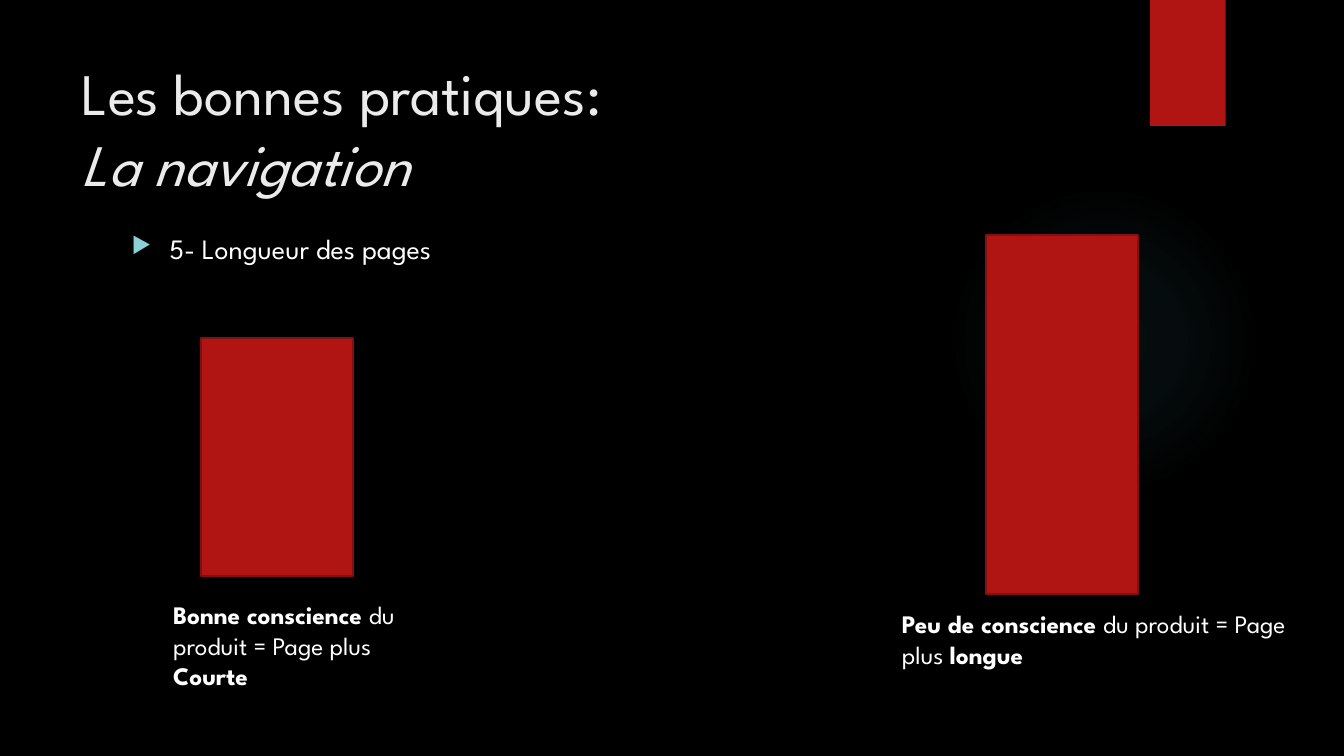
from lxml import etree
from pptx import Presentation
from pptx import util as u
from pptx.dml.color import RGBColor
from pptx.enum import shapes, text
from pptx.oxml import ns

BLACK = RGBColor(0x00, 0x00, 0x00)
WHITE = RGBColor(0xFF, 0xFF, 0xFF)
TITLE_GREY = RGBColor(0xEB, 0xEB, 0xEB)
RED = RGBColor(0xB0, 0x15, 0x13)
DARK_RED = RGBColor(0x82, 0x10, 0x0E)
TEAL = RGBColor(0x50, 0xB9, 0xC1)
PALE_TEAL = RGBColor(0x8A, 0xD0, 0xD6)
FONT = "League Spartan"


def add_element(parent, tag, **attributes):
    return etree.SubElement(parent, ns.qn(tag), attributes)


def add_block(page, kind, left, top, width, height, fill=None, line=None):
    block = page.shapes.add_shape(
        kind, u.Pt(left), u.Pt(top), u.Pt(width), u.Pt(height))
    block.shadow.inherit = False
    if fill is None:
        block.fill.background()
    else:
        block.fill.solid()
        block.fill.fore_color.rgb = fill
    if line is None:
        block.line.fill.background()
    else:
        block.line.color.rgb = line
        block.line.width = u.Pt(1.5)
    return block


def add_box(page, left, top, width, height, anchor=text.MSO_ANCHOR.TOP):
    box = page.shapes.add_textbox(
        u.Pt(left), u.Pt(top), u.Pt(width), u.Pt(height))
    box.text_frame.word_wrap = True
    box.text_frame.vertical_anchor = anchor
    return box.text_frame.paragraphs[0]


def add_span(para, words, size=18, color=WHITE, bold=False, italic=False):
    span = para.add_run()
    span.text = words
    span.font.name = FONT
    span.font.size = u.Pt(size)
    span.font.color.rgb = color
    span.font.bold = bold
    span.font.italic = italic


def add_bullet(para, symbol, color, indent):
    properties = para._p.get_or_add_pPr()
    properties.set("marL", str(u.Pt(indent)))
    properties.set("indent", str(u.Pt(-indent)))
    holder = add_element(properties, "a:buClr")
    add_element(holder, "a:srgbClr", val=str(color))
    add_element(properties, "a:buSzPct", val="80000")
    add_element(properties, "a:buChar", char=symbol)


def draw_glow(page, left, top, size):
    glow = add_block(page, shapes.MSO_SHAPE.OVAL, left, top, size, size)
    properties = glow._element.spPr
    blank = properties.find(ns.qn("a:noFill"))
    gradient = etree.Element(ns.qn("a:gradFill"), rotWithShape="1")
    properties.replace(blank, gradient)
    stops = add_element(gradient, "a:gsLst")
    for position, opacity in ((0, 7), (36, 6), (69, 0)):
        stop = add_element(stops, "a:gs", pos=str(position * 1000))
        color = add_element(stop, "a:srgbClr", val=str(TEAL))
        add_element(color, "a:alpha", val=str(opacity * 1000))
    shade = add_element(gradient, "a:path", path="circle")
    add_element(shade, "a:fillToRect", l="50000", t="50000", r="50000", b="50000")


def draw_backdrop(page):
    page.background.fill.solid()
    page.background.fill.fore_color.rgb = BLACK
    draw_glow(page, 677.5, 131.8, 221.8)
    add_block(page, shapes.MSO_SHAPE.RECTANGLE, 821.5, 0, 54, 90, fill=RED)


def draw_title(page, left, top, width, height):
    para = add_box(page, left, top, width, height, text.MSO_ANCHOR.MIDDLE)
    add_span(para, "Les bonnes pratiques:", size=42, color=TITLE_GREY)
    para.add_line_break()
    add_span(para, "La navigation", size=42, color=TITLE_GREY, italic=True)


def draw_topic(page, left, top, width, height):
    para = add_box(page, left, top, width, height)
    add_bullet(para, "▶", PALE_TEAL, 27)
    add_span(para, "5- Longueur des pages", size=20)


def draw_page_length(page, left, top, width, height, bar_left, bar_height,
                     caption_height, awareness, length):
    bar_width, gap = 108.7, 13
    bar_top = top
    add_block(page, shapes.MSO_SHAPE.RECTANGLE, left + bar_left, bar_top,
              bar_width, bar_height, fill=RED, line=DARK_RED)
    caption_top = top + height - caption_height
    para = add_box(page, left, caption_top, width, caption_height)
    add_span(para, awareness + " ", bold=True)
    add_span(para, "du produit = Page plus ")
    add_span(para, length, bold=True)


def main():
    deck = Presentation()
    deck.slide_width, deck.slide_height = u.Pt(960), u.Pt(540)
    page = deck.slides.add_slide(deck.slide_layouts[6])
    draw_backdrop(page)
    draw_title(page, 51, 36, 741, 110)
    draw_topic(page, 87, 162, 704, 330.5)
    draw_page_length(page, 116.6, 241.2, 177.8, 256.3, 26.7, 170.6, 72.7,
                     "Bonne conscience", "Courte")
    draw_page_length(page, 637.2, 167.8, 296.6, 314.6, 67, 256.5, 51.1,
                     "Peu de conscience", "longue")
    deck.save("out.pptx")


if __name__ == "__main__":
    main()
